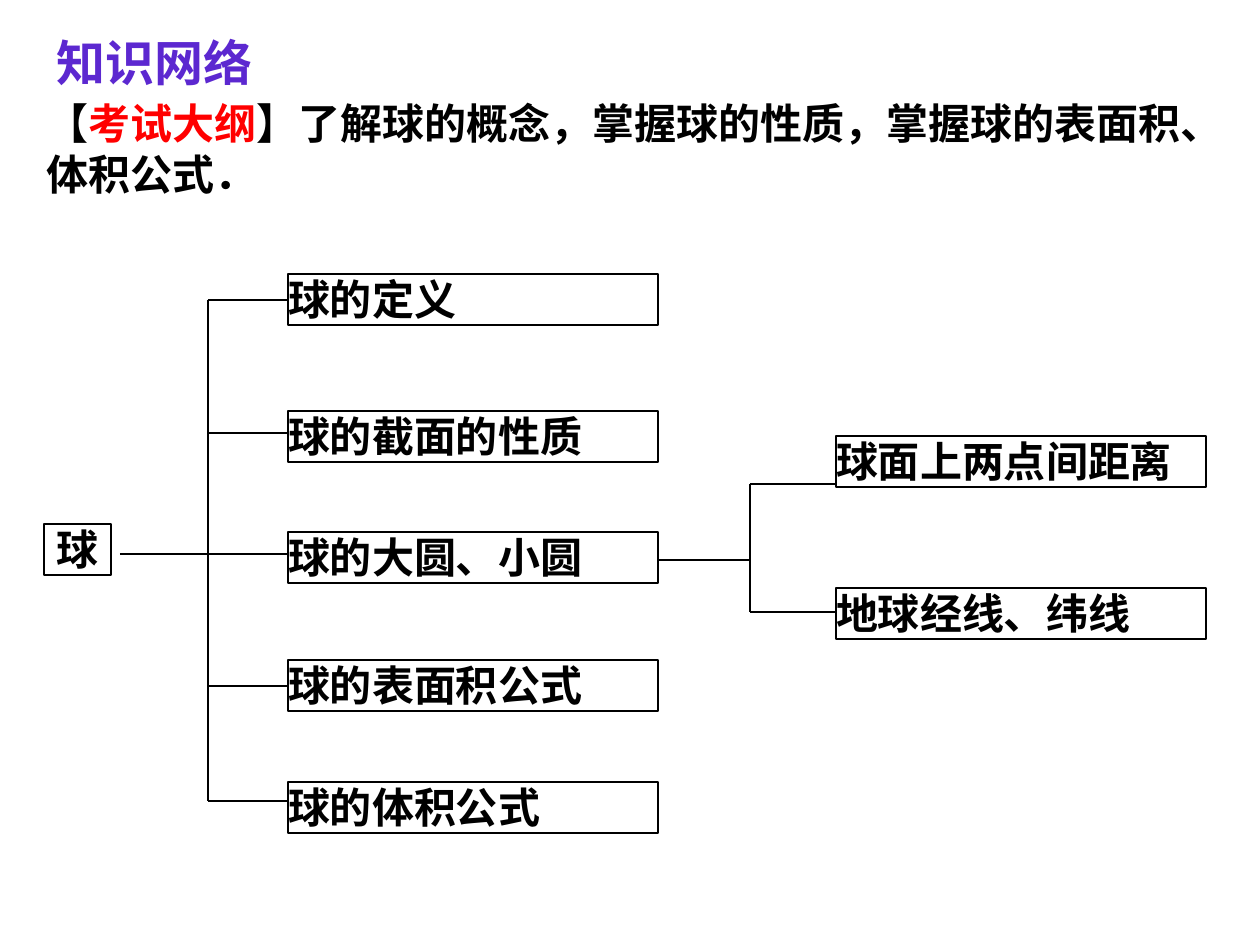
"""Build the knowledge-network slide about spheres."""
from dataclasses import dataclass

from lxml import etree
from pptx import Presentation
from pptx.dml.color import RGBColor
from pptx.enum.shapes import MSO_CONNECTOR, MSO_SHAPE
from pptx.enum.text import MSO_ANCHOR, MSO_AUTO_SIZE, PP_ALIGN
from pptx.oxml.ns import qn
from pptx.util import Emu, Pt

STRAIGHT = MSO_CONNECTOR.STRAIGHT
RECTANGLE = MSO_SHAPE.RECTANGLE
TOP, BOTTOM = MSO_ANCHOR.TOP, MSO_ANCHOR.BOTTOM
NO_FIT = MSO_AUTO_SIZE.NONE
LEFT, CENTER, JUSTIFY = PP_ALIGN.LEFT, PP_ALIGN.CENTER, PP_ALIGN.JUSTIFY
PX_PER_INCH = 126


@dataclass(frozen=True)
class Theme:
    font: str = "Times New Roman"
    ink: RGBColor = RGBColor(0x00, 0x00, 0x00)
    title: RGBColor = RGBColor(0x5C, 0x28, 0xD0)
    accent: RGBColor = RGBColor(0xFF, 0x00, 0x00)
    title_size: Pt = Pt(28)
    text_size: Pt = Pt(24)
    line_width: Pt = Pt(0.75)


THEME = Theme()


def px(*lengths):
    return [Emu(round(length * 914400 / PX_PER_INCH)) for length in lengths]


def style(span, color, size=THEME.text_size):
    span.font.name = THEME.font
    span.font.size = size
    span.font.bold = True
    span.font.color.rgb = color


deck = Presentation()
deck.slide_width, deck.slide_height = px(1260, 945)
page = deck.slides.add_slide(deck.slide_layouts[5])

title = page.shapes.title
title.left, title.top, title.width, title.height = px(44, 26, 278, 72)
title.text_frame.text = "知识网络"
title.text_frame.auto_size = NO_FIT
title.text_frame.vertical_anchor = TOP
title_para = title.text_frame.paragraphs[0]
title_para.alignment = LEFT
style(title_para.runs[0], THEME.title, THEME.title_size)

BOX_HEIGHT = 51
ROOT_LEFT, ROOT_WIDTH = 44, 67
TOPIC_LEFT, DETAIL_LEFT, BRANCH_WIDTH = 288, 836, 370
nodes = [
    ("球", ROOT_LEFT, 524, ROOT_WIDTH, CENTER),
    ("球的定义", TOPIC_LEFT, 274, BRANCH_WIDTH, JUSTIFY),
    ("球的截面的性质", TOPIC_LEFT, 411, BRANCH_WIDTH, JUSTIFY),
    ("球的大圆、小圆", TOPIC_LEFT, 532, BRANCH_WIDTH, JUSTIFY),
    ("球的表面积公式", TOPIC_LEFT, 660, BRANCH_WIDTH, JUSTIFY),
    ("球的体积公式", TOPIC_LEFT, 782, BRANCH_WIDTH, JUSTIFY),
    ("球面上两点间距离", DETAIL_LEFT, 436, BRANCH_WIDTH, JUSTIFY),
    ("地球经线、纬线", DETAIL_LEFT, 588, BRANCH_WIDTH, JUSTIFY),
]
for label, left, top, width, alignment in nodes:
    box = page.shapes.add_shape(RECTANGLE, *px(left, top, width, BOX_HEIGHT))
    box.shadow.inherit = False
    box.fill.background()
    box.line.color.rgb = THEME.ink
    box.line.width = THEME.line_width
    frame = box.text_frame
    frame.margin_left = frame.margin_right = frame.margin_top = frame.margin_bottom = 0
    frame.vertical_anchor = TOP
    frame.word_wrap = True
    frame.text = label
    frame.paragraphs[0].alignment = alignment
    style(frame.paragraphs[0].runs[0], THEME.ink)

# Each tree: stem start, trunk x, stem y, branch end, branch heights
trees = [
    (120, 208, 554, TOPIC_LEFT, (300, 433, 554, 686, 801)),
    (658, 750, 560, DETAIL_LEFT, (484, 612)),
]
segments = []
for stem_start, trunk, stem_y, branch_end, heights in trees:
    segments.append((stem_start, stem_y, trunk, stem_y))
    segments.append((trunk, heights[0], trunk, heights[-1]))
    segments += [(trunk, height, branch_end, height) for height in heights]
for segment in segments:
    line = page.shapes.add_connector(STRAIGHT, *px(*segment))
    line.line.color.rgb = THEME.ink
    line.line.width = THEME.line_width
    etree.SubElement(line._element.spPr, qn("a:effectLst"))

syllabus = page.shapes.add_textbox(*px(34, 92, 1181, 113))
syllabus.text_frame.word_wrap = True
syllabus.text_frame.vertical_anchor = BOTTOM
syllabus_para = syllabus.text_frame.paragraphs[0]
for text, color in [
    ("【", THEME.ink),
    ("考试大纲", THEME.accent),
    ("】了解球的概念，掌握球的性质，掌握球的表面积、体积公式．", THEME.ink),
]:
    span = syllabus_para.add_run()
    span.text = text
    style(span, color)

deck.save("out.pptx")
